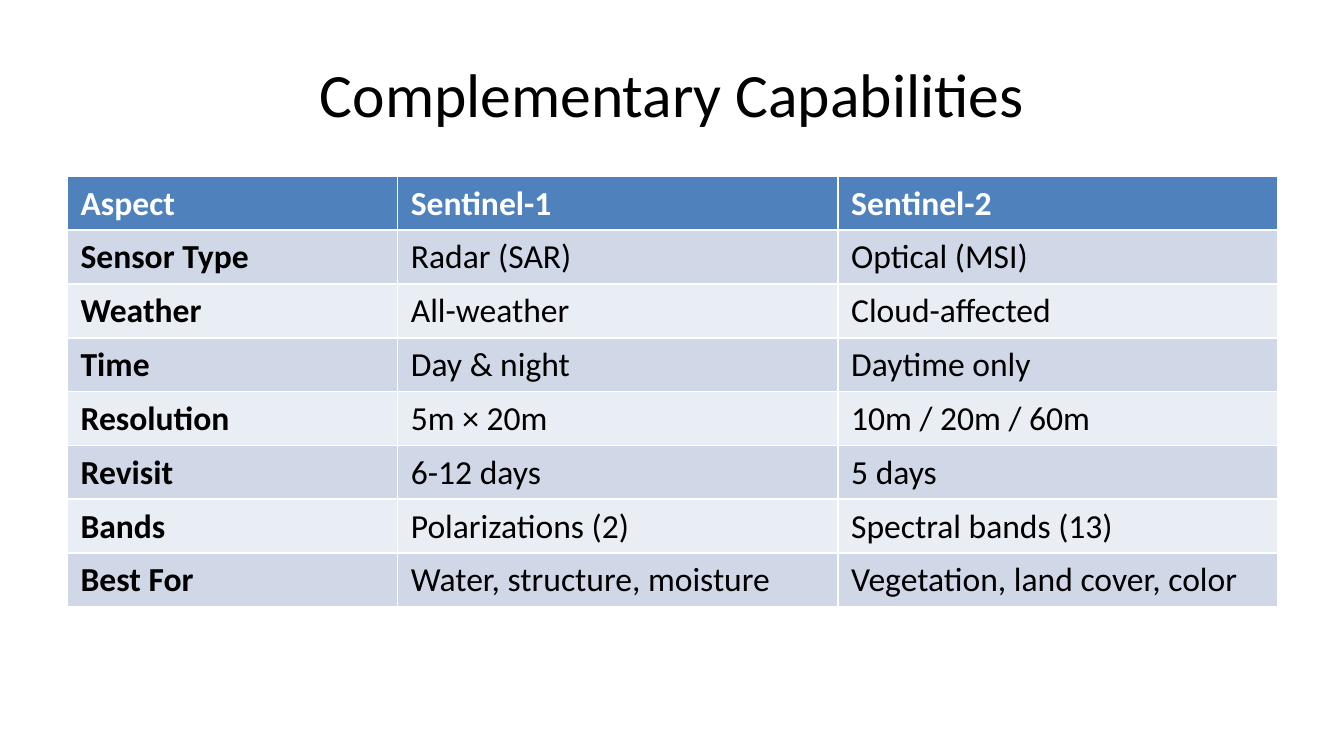
from dataclasses import dataclass

from pptx import Presentation
from pptx.dml.color import RGBColor
from pptx.enum.text import MSO_ANCHOR, PP_ALIGN
from pptx.util import Inches, Pt

WIDE = Inches(10)
HIGH = WIDE * 9 // 16
FONT = "Calibri"
INK = {
    "page": "FFFFFF",
    "text": "000000",
    "head": "4F81BD",
    "odd": "D0D8E8",
    "even": "E9EDF4",
}


@dataclass(frozen=True)
class Box:
    left: float
    top: float
    width: float
    height: float

    def place(self) -> tuple[int, int, int, int]:
        return (
            round(self.left * WIDE),
            round(self.top * HIGH),
            round(self.width * WIDE),
            round(self.height * HIGH),
        )


@dataclass(frozen=True)
class Row:
    aspect: str
    first: str
    second: str

    def cells(self) -> tuple[str, str, str]:
        return self.aspect, self.first, self.second


TITLE = Box(0.05, 0.04, 0.9, 1 / 6)
GRID = Box(0.05, 7 / 30, Inches(9.01) / WIDE, 0.57)
SHARES = (3, 4, 4)
ROWS = (
    Row("Aspect", "Sentinel-1", "Sentinel-2"),
    Row("Sensor Type", "Radar (SAR)", "Optical (MSI)"),
    Row("Weather", "All-weather", "Cloud-affected"),
    Row("Time", "Day & night", "Daytime only"),
    Row("Resolution", "5m × 20m", "10m / 20m / 60m"),
    Row("Revisit", "6-12 days", "5 days"),
    Row("Bands", "Polarizations (2)", "Spectral bands (13)"),
    Row("Best For", "Water, structure, moisture", "Vegetation, land cover, color"),
)


def tint(name: str) -> RGBColor:
    return RGBColor.from_string(INK[name])


def write(frame, text: str, *, size: float = 18, ink: str = "text",
          bold: bool = False, align=PP_ALIGN.LEFT) -> None:
    line = frame.paragraphs[0]
    line.alignment = align
    run = line.add_run()
    run.text = text
    run.font.name = FONT
    run.font.size = Pt(size)
    run.font.bold = bold
    run.font.color.rgb = tint(ink)


def draw_title(slide, text: str) -> None:
    frame = slide.shapes.add_textbox(*TITLE.place()).text_frame
    frame.word_wrap = True
    frame.vertical_anchor = MSO_ANCHOR.MIDDLE
    write(frame, text, size=33, align=PP_ALIGN.CENTER)


def draw_table(slide, rows: tuple[Row, ...]) -> None:
    place = GRID.place()
    table = slide.shapes.add_table(len(rows), len(SHARES), *place).table
    for col, share in zip(table.columns, SHARES):
        col.width = round(place[2] * share / sum(SHARES))
    for r, row in enumerate(rows):
        table.rows[r].height = place[3] // len(rows)
        band = "head" if r == 0 else "odd" if r % 2 else "even"
        for c, text in enumerate(row.cells()):
            cell = table.cell(r, c)
            cell.fill.solid()
            cell.fill.fore_color.rgb = tint(band)
            write(cell.text_frame, text, bold=r == 0 or c == 0,
                  ink="text" if r else "page")


def main() -> None:
    deck = Presentation()
    deck.slide_width, deck.slide_height = WIDE, HIGH
    slide = deck.slides.add_slide(deck.slide_layouts[6])
    slide.background.fill.solid()
    slide.background.fill.fore_color.rgb = tint("page")
    draw_title(slide, "Complementary Capabilities")
    draw_table(slide, ROWS)
    deck.save("out.pptx")


if __name__ == "__main__":
    main()
